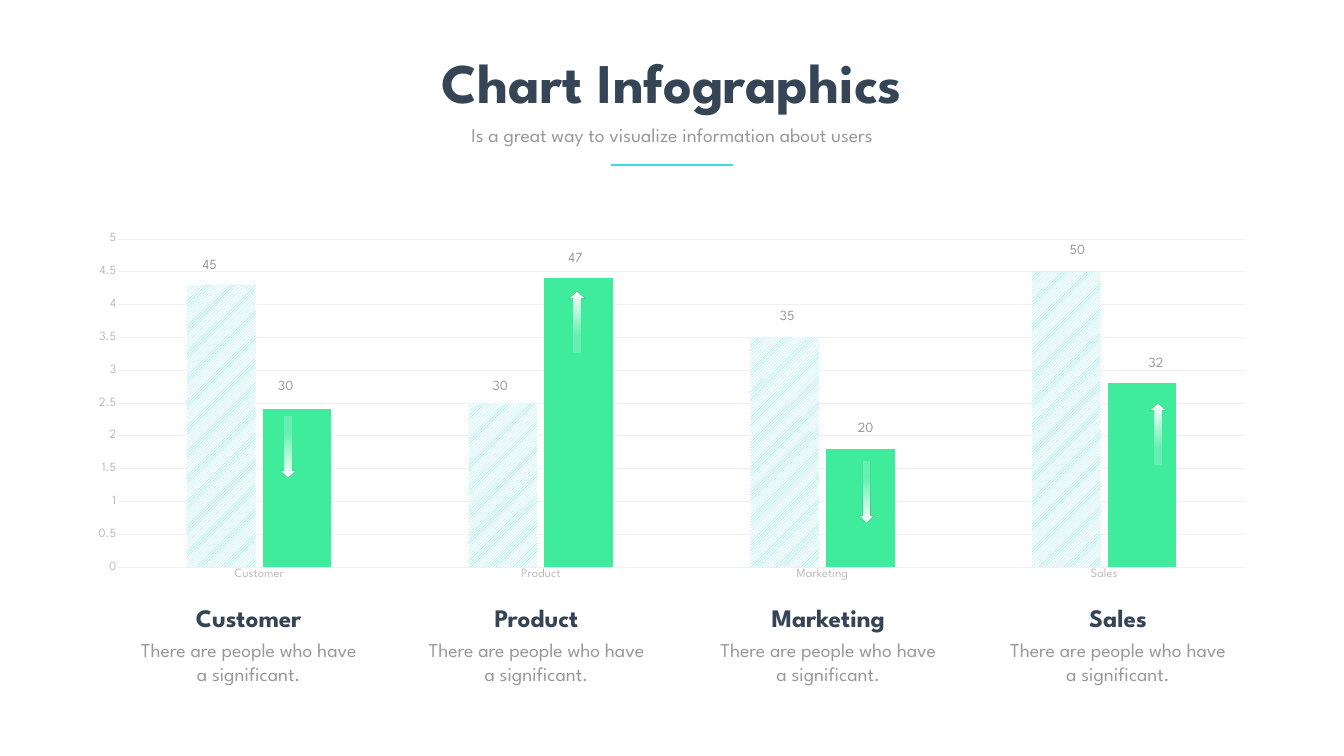
import dataclasses

import pptx
import pptx.chart.data
import pptx.dml.color
import pptx.enum.chart
import pptx.enum.dml
import pptx.enum.shapes
import pptx.enum.text
import pptx.oxml
import pptx.oxml.ns
import pptx.util

Inches = pptx.util.Inches
Pt = pptx.util.Pt
rgb = pptx.dml.color.RGBColor.from_string
qn = pptx.oxml.ns.qn
nsdecls = pptx.oxml.ns.nsdecls


@dataclasses.dataclass(frozen=True)
class Theme:
    font: str = "League Spartan"
    heading: str = "364556"
    body: str = "999999"
    axis: str = "BDBDBD"
    grid: str = "F0F0F0"
    cyan: str = "3CDEE2"
    green: str = "3EEC9C"
    white: str = "FFFFFF"
    title_size: int = 80
    name_size: int = 36
    body_size: int = 28
    value_size: int = 20
    axis_size: int = 18


@dataclasses.dataclass(frozen=True)
class Metric:
    """One category; all offsets are inches from the chart's top left corner."""
    name: str
    bars: tuple
    labels: tuple  # (text, left, top) above each bar
    arrow: tuple  # (left, top)
    rising: bool
    caption_left: float


THEME = Theme()
METRICS = [
    Metric("Customer", (4.3, 2.4), (("45", 2.2, 0.54), ("30", 3.71, 2.95)),
           (4.1, 3.79), False, 1.2),
    Metric("Product", (2.5, 4.4), (("30", 7.97, 2.95), ("47", 9.46, 0.4)),
           (9.84, 1.31), True, 6.91),
    Metric("Marketing", (3.5, 1.8), (("35", 13.66, 1.56), ("20", 15.22, 3.77)),
           (15.58, 4.68), False, 12.7),
    Metric("Sales", (4.5, 2.8), (("50", 19.42, 0.24), ("32", 20.98, 2.48)),
           (21.36, 3.53), True, 18.45),
]
DESCRIPTION = "There are people who have a significant."


def format_font(font, size, color, bold=False):
    font.name = THEME.font
    font.size = Pt(size)
    font.bold = bold
    font.color.rgb = rgb(color)


def add_text(slide, text, left, top, width, height, *, size, color,
             bold=False, holder=None):
    """Write centred text in the given placeholder, or else in a new text box."""
    box = [Inches(length) for length in (left, top, width, height)]
    if holder is None:
        holder = slide.shapes.add_textbox(*box)
    else:
        holder.left, holder.top, holder.width, holder.height = box
    frame = holder.text_frame
    frame.word_wrap = True
    frame.auto_size = pptx.enum.text.MSO_AUTO_SIZE.NONE
    frame.vertical_anchor = pptx.enum.text.MSO_ANCHOR.TOP
    paragraph = frame.paragraphs[0]
    paragraph.alignment = pptx.enum.text.PP_ALIGN.CENTER
    paragraph.line_spacing = 1.0
    run = paragraph.add_run()
    run.text = text
    format_font(run.font, size, color, bold)


def add_header(slide, left, top, width):
    add_text(slide, "Chart Infographics", left, top, width, 1.45,
             size=THEME.title_size, color=THEME.heading, bold=True,
             holder=slide.shapes.title)
    add_text(slide, "Is a great way to visualize information about users",
             left, top + 1.48, width, 0.57, size=THEME.body_size, color=THEME.body)
    rule_width = 2.43
    rule = slide.shapes.add_shape(
        pptx.enum.shapes.MSO_SHAPE.RECTANGLE,
        Inches(left + (width - rule_width) / 2), Inches(top + 2.35),
        Inches(rule_width), Inches(0.04))
    rule.shadow.inherit = False
    rule.fill.solid()
    rule.fill.fore_color.rgb = rgb(THEME.cyan)
    rule.line.fill.background()


def set_plot_layout(chart, x, y, w, h):
    """Fix the inner plot area, in fractions of the chart."""
    plot_area = chart._chartSpace.find(".//" + qn("c:plotArea"))
    for layout in plot_area.findall(qn("c:layout")):
        plot_area.remove(layout)
    settings = [("layoutTarget", "inner"), ("xMode", "edge"), ("yMode", "edge"),
                ("x", x), ("y", y), ("w", w), ("h", h)]
    parts = "".join(f'<c:{tag} val="{value}"/>' for tag, value in settings)
    plot_area.insert(0, pptx.oxml.parse_xml(
        f'<c:layout {nsdecls("c")}>'
        f"<c:manualLayout>{parts}</c:manualLayout></c:layout>"))


def format_axis(axis):
    axis.major_tick_mark = pptx.enum.chart.XL_TICK_MARK.NONE
    axis.minor_tick_mark = pptx.enum.chart.XL_TICK_MARK.NONE
    format_font(axis.tick_labels.font, THEME.axis_size, THEME.axis)


def format_line(line):
    line.color.rgb = rgb(THEME.grid)
    line.width = Pt(0.75)


def add_column_chart(slide, left, top, width, height):
    data = pptx.chart.data.CategoryChartData()
    data.categories = [metric.name for metric in METRICS]
    for index, name in enumerate(("Series 1", "Series 2")):
        data.add_series(name, [metric.bars[index] for metric in METRICS])
    chart = slide.shapes.add_chart(
        pptx.enum.chart.XL_CHART_TYPE.COLUMN_CLUSTERED, Inches(left), Inches(top),
        Inches(width), Inches(height), data).chart
    chart.has_legend = False
    chart.has_title = False
    format_font(chart.font, THEME.axis_size, THEME.body)
    set_plot_layout(chart, 0.037, 0.036, 0.943, 0.907)

    format_axis(chart.category_axis)
    format_line(chart.category_axis.format.line)
    values = chart.value_axis
    format_axis(values)
    values.format.line.fill.background()
    values.minimum_scale, values.maximum_scale, values.major_unit = 0, 5, 0.5
    values.has_major_gridlines = True
    format_line(values.major_gridlines.format.line)

    plot = chart.plots[0]
    plot.gap_width, plot.overlap = 200, -10
    plot.vary_by_categories = False
    hatched, solid = (series.format.fill for series in plot.series)
    hatched.patterned()
    hatched.pattern = pptx.enum.dml.MSO_PATTERN.WIDE_UPWARD_DIAGONAL
    hatched.fore_color.rgb = rgb(THEME.cyan)
    hatched.back_color.rgb = rgb(THEME.white)
    solid.solid()
    solid.fore_color.rgb = rgb(THEME.green)


def add_trend_arrow(slide, left, top, rising):
    arrow = slide.shapes.add_shape(
        pptx.enum.shapes.MSO_SHAPE.UP_ARROW,
        Inches(left), Inches(top), Inches(0.29), Inches(1.2))
    arrow.rotation = 0 if rising else 180
    arrow.shadow.inherit = False
    arrow.line.fill.background()
    arrow.fill.gradient()
    arrow.fill.gradient_angle = 270
    for stop, position in zip(arrow.fill.gradient_stops, (0, 0.72)):
        stop.position = position
        stop.color.rgb = rgb(THEME.white)
    gradient = arrow._element.spPr.find(qn("a:gradFill"))
    tail_color = gradient.findall(".//" + qn("a:srgbClr"))[-1]
    tail_color.append(pptx.oxml.parse_xml(f'<a:alpha {nsdecls("a")} val="21000"/>'))


def add_metric(slide, metric, left, top):
    """Annotate one category's bars and caption it below the chart."""
    arrow_left, arrow_top = metric.arrow
    add_trend_arrow(slide, left + arrow_left, top + arrow_top, metric.rising)
    for value, x, y in metric.labels:
        add_text(slide, value, left + x, top + y, 0.98, 0.44,
                 size=THEME.value_size, color=THEME.body)
    caption_left = left + metric.caption_left
    add_text(slide, metric.name, caption_left, top + 7.42, 4.53, 0.71,
             size=THEME.name_size, color=THEME.heading, bold=True)
    add_text(slide, DESCRIPTION, caption_left, top + 8.13, 4.53, 1.04,
             size=THEME.body_size, color=THEME.body)


def main():
    deck = pptx.Presentation()
    deck.slide_width, deck.slide_height = Inches(26.67), Inches(15)
    slide = deck.slides.add_slide(deck.slide_layouts.get_by_name("Title Only"))
    slide.background.fill.solid()
    slide.background.fill.fore_color.rgb = rgb(THEME.white)
    add_header(slide, 6.88, 0.9, 12.91)
    chart_left, chart_top = 1.47, 4.48
    add_column_chart(slide, chart_left, chart_top, 23.71, 7.18)
    for metric in METRICS:
        add_metric(slide, metric, chart_left, chart_top)
    deck.save("out.pptx")


if __name__ == "__main__":
    main()
